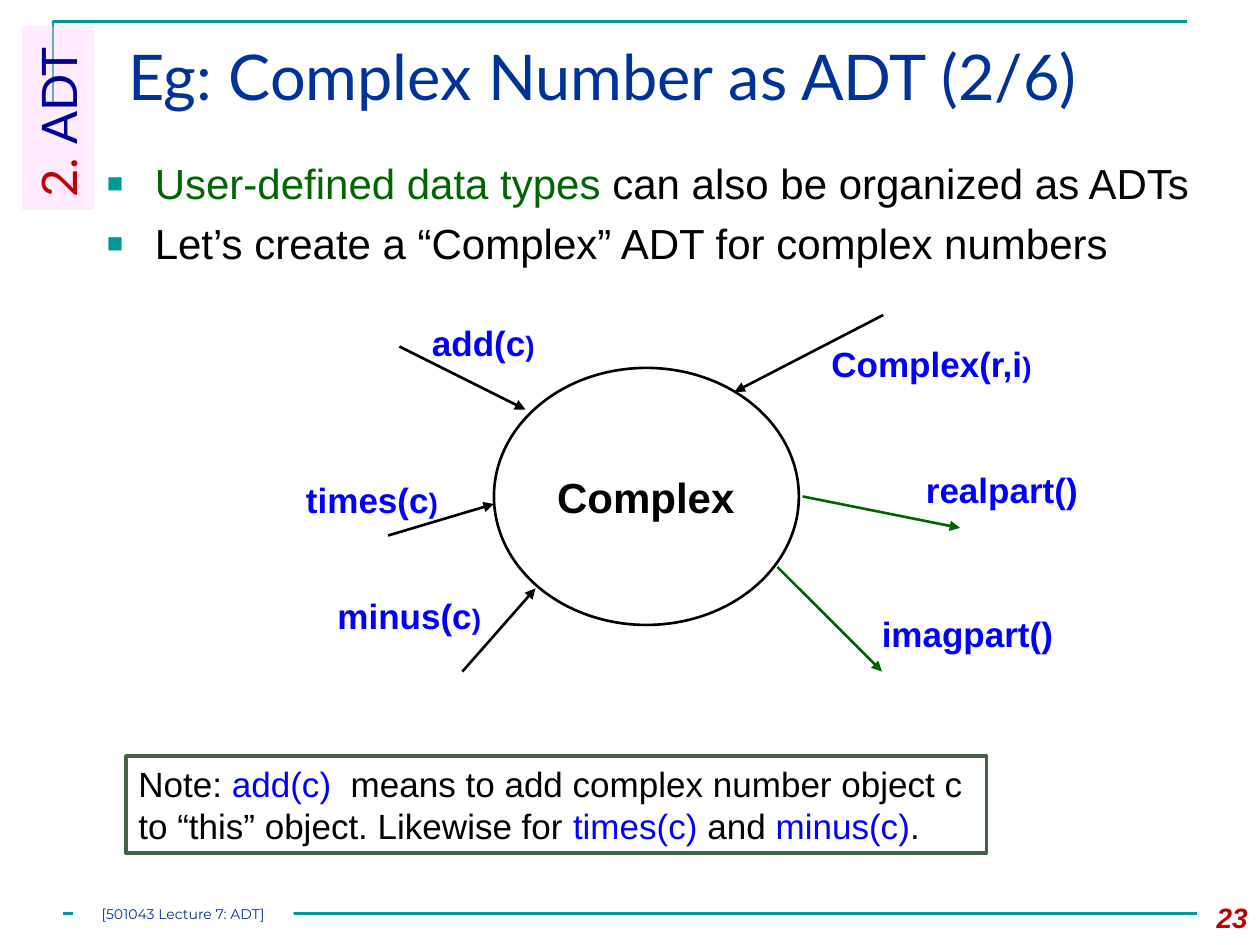
from lxml.etree import SubElement
from pptx import Presentation
from pptx.dml.color import RGBColor
from pptx.enum.shapes import MSO_CONNECTOR, MSO_SHAPE
from pptx.enum.text import MSO_ANCHOR, MSO_AUTO_SIZE, PP_ALIGN
from pptx.oxml.ns import qn
from pptx.util import Inches, Pt

COLORS = {
    "teal": "009999", "navy": "003399", "indigo": "000099", "red": "C00000",
    "pink": "FFCCFF", "green": "006600", "black": "000000", "blue": "0000FF",
    "moss": "446246", "white": "FFFFFF",
}

TITLE = [[("Eg: Complex Number as ADT (2/6)", "navy")]]
SECTION = [[("2. ", "red"), ("ADT", "indigo")]]
POINTS = [
    [("User-defined data types ", "green"), ("can also be organized as ADTs", "black")],
    [("Let’s create a “Complex” ADT for complex numbers", "black")],
]
NOTE = [[
    ("Note: ", "black"), ("add(c)", "blue"),
    ("  means to add complex number object c to “this” object. Likewise for ", "black"),
    ("times(c)", "blue"), (" and ", "black"), ("minus(c)", "blue"), (".", "black"),
]]
FOOTER = [[("[501043 Lecture 7: ADT]", "navy")]]
PAGE_NUMBER = [[("23", "red")]]
ADT_NAME = [[("Complex", "black")]]

OPERATIONS = [
    ("Complex(r,i", ")", (6.5, 2.67, 1.8, 0.44), (7.01, 2.5), (5.83, 3.11), "black"),
    ("add(c", ")", (3.33, 2.5, 1.03, 0.44), (3.17, 2.75), (4.17, 3.25), "black"),
    ("times(c", ")", (2.33, 3.75, 1.25, 0.44), (3.08, 4.25), (3.92, 4), "black"),
    ("minus(c", ")", (2.58, 4.67, 1.34, 0.44), (3.67, 5.33), (4.25, 4.67), "black"),
    ("realpart()", "", (7.25, 3.67, 1.42, 0.44), (6.37, 3.94), (7.62, 4.19), "green"),
    ("imagpart()", "", (6.9, 4.81, 1.57, 0.44), (6.17, 4.5), (7, 5.33), "green"),
]


def rgb(color):
    return RGBColor.from_string(COLORS[color])


def apply(target, formats):
    for name, value in formats.items():
        setattr(target, name, value)


def write(shape, paragraphs, font, frame=None, align=PP_ALIGN.LEFT):
    text_frame = shape.text_frame
    apply(text_frame, {"word_wrap": True, "vertical_anchor": MSO_ANCHOR.TOP, **(frame or {})})
    for index, pieces in enumerate(paragraphs):
        paragraph = text_frame.add_paragraph() if index else text_frame.paragraphs[0]
        paragraph.alignment = align
        for text, color, *size in pieces:
            run = paragraph.add_run()
            run.text = text
            apply(run.font, {**font, **({"size": size[0]} if size else {})})
            run.font.color.rgb = rgb(color)


def place(shape, box):
    apply(shape, dict(zip(("left", "top", "width", "height"), map(Inches, box))))


def add_text(box, *content, **options):
    text_box = slide.shapes.add_textbox(*map(Inches, box))
    write(text_box, *content, **options)
    return text_box


def paint(shape, fill=None, line=None, width=1.5):
    shape.shadow.inherit = False
    if fill:
        shape.fill.solid()
        shape.fill.fore_color.rgb = rgb(fill)
    else:
        shape.fill.background()
    if line:
        shape.line.color.rgb = rgb(line)
        shape.line.width = Pt(width)
    else:
        shape.line.fill.background()


def add_shape(kind, box, **style):
    shape = slide.shapes.add_shape(kind, *map(Inches, box))
    paint(shape, **style)
    return shape


def add_line(start, end, color, arrow=False):
    line = slide.shapes.add_connector(MSO_CONNECTOR.STRAIGHT, *map(Inches, (*start, *end)))
    line.line.color.rgb = rgb(color)
    line.line.width = Pt(1.5)
    if arrow:
        SubElement(line.line._get_or_add_ln(), qn("a:tailEnd"), type="triangle")
    SubElement(line._element.spPr, qn("a:effectLst"))


def add_bullet(paragraph):
    properties = paragraph._p.get_or_add_pPr()
    properties.set("marL", str(Inches(0.38)))
    properties.set("indent", str(-Inches(0.38)))
    bullet_color = SubElement(properties, qn("a:buClr"))
    SubElement(bullet_color, qn("a:srgbClr"), val=COLORS["teal"])
    SubElement(properties, qn("a:buSzPct"), val="65000")
    SubElement(properties, qn("a:buFont"), typeface="Arial")
    SubElement(properties, qn("a:buChar"), char="■")


presentation = Presentation()
apply(presentation, {"slide_width": Inches(10), "slide_height": Inches(7.5)})
slide = presentation.slides.add_slide(presentation.slide_layouts[5])

corner_path = slide.shapes.build_freeform(Inches(0.42), Inches(0.83))
corner_path.add_line_segments(
    [(Inches(0.42), Inches(0.17)), (Inches(9.42), Inches(0.17))], close=False)
paint(corner_path.convert_to_shape(), line="teal")
add_line((0.5, 7.25), (9.5, 7.25), "teal")

title = slide.shapes.title
place(title, (0.92, 0.25, 8.83, 0.86))
write(title, TITLE, {"name": "Lato", "size": Pt(36)}, {"auto_size": MSO_AUTO_SIZE.NONE})

add_text((9.33, 7.1, 0.67, 0.4), PAGE_NUMBER,
         {"name": "Arial", "size": Pt(16), "bold": True, "italic": True}, align=PP_ALIGN.RIGHT)

section_tab = add_shape(MSO_SHAPE.RECTANGLE, (-0.27, 0.65, 1.46, 0.57), fill="pink")
section_tab.rotation = 270
tab_color = section_tab.fill._xPr.find(qn("a:solidFill"))[0]
SubElement(tab_color, qn("a:alpha"), val="40000")
write(section_tab, SECTION, {"name": "Lato", "size": Pt(28)})

points = add_text((0.75, 1.17, 8.92, 1.17), POINTS, {"name": "Arial", "size": Pt(24)},
                  {"margin_top": Inches(0.08)})
for index, paragraph in enumerate(points.text_frame.paragraphs):
    paragraph.space_before = Pt(5.5 if index else 0)
    add_bullet(paragraph)

note = add_shape(MSO_SHAPE.RECTANGLE, (1, 6, 6.83, 0.77), fill="white", line="moss", width=2)
write(note, NOTE, {"name": "Arial", "size": Pt(20)})

label_frame = {"word_wrap": False, "auto_size": MSO_AUTO_SIZE.SHAPE_TO_FIT_TEXT}
add_shape(MSO_SHAPE.OVAL, (3.92, 2.92, 2.42, 2.04), line="black")
add_text((4.32, 3.69, 1.61, 0.5), ADT_NAME, {"name": "Arial", "size": Pt(24), "bold": True},
         label_frame, align=PP_ALIGN.CENTER)

for name, bracket, box, start, end, color in OPERATIONS:
    pieces = [(name, "blue")] + ([(bracket, "blue", Pt(16))] if bracket else [])
    add_text(box, [pieces], {"name": "Arial", "size": Pt(20), "bold": True}, label_frame)
    add_line(start, end, color, arrow=True)

footer = add_shape(MSO_SHAPE.RECTANGLE, (0.58, 7.17, 1.75, 0.17), fill="white")
no_margins = dict.fromkeys(("margin_left", "margin_top", "margin_right", "margin_bottom"), 0)
write(footer, FOOTER, {"name": "Montserrat", "size": Pt(8)},
      {**no_margins, "vertical_anchor": MSO_ANCHOR.MIDDLE}, align=PP_ALIGN.CENTER)

presentation.save("out.pptx")
